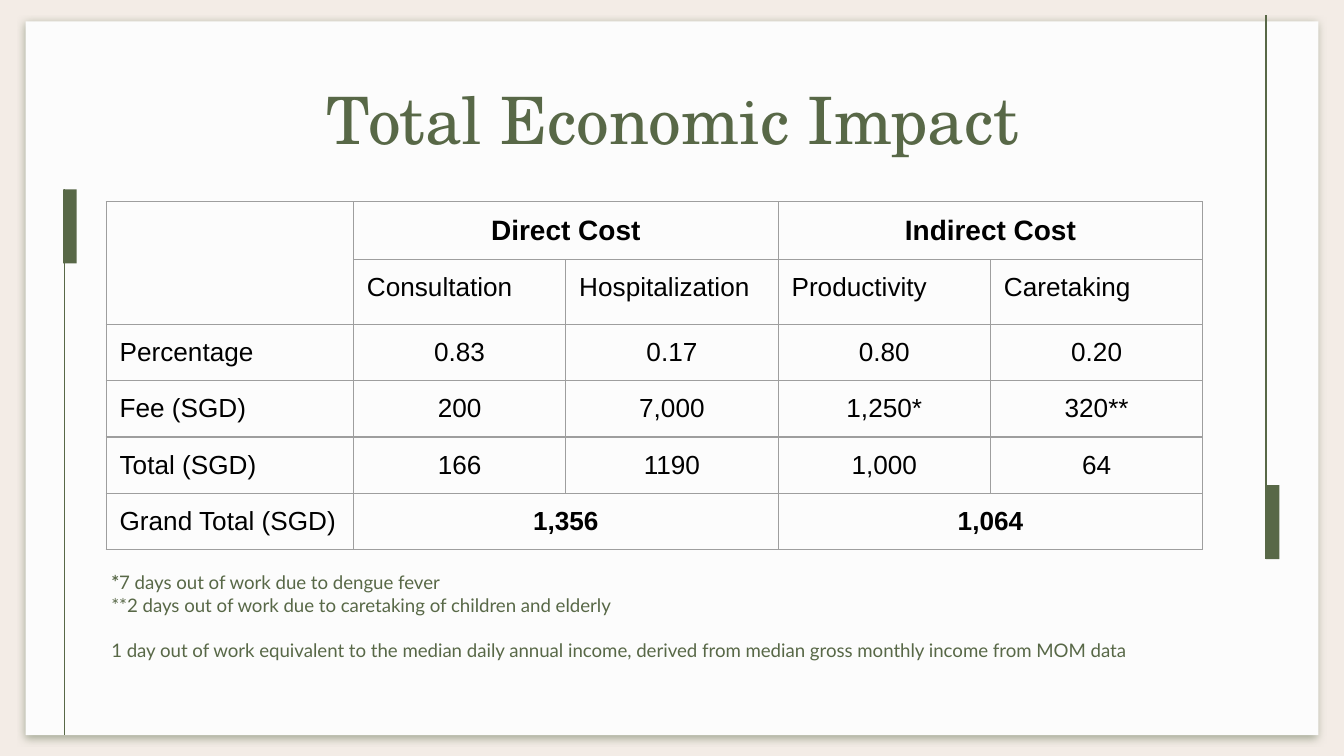
from dataclasses import dataclass

from lxml.etree import SubElement
from pptx import Presentation
from pptx.dml.color import RGBColor
from pptx.enum.shapes import MSO_CONNECTOR, MSO_SHAPE
from pptx.enum.text import MSO_ANCHOR, MSO_AUTO_SIZE, PP_ALIGN
from pptx.oxml import parse_xml
from pptx.oxml.ns import nsdecls, qn
from pptx.util import Inches, Pt


@dataclass(frozen=True)
class Theme:
    back: str = "F3ECE6"
    paper: str = "FCFCFC"
    green: str = "586847"
    ink: str = "000000"
    grid: str = "9E9E9E"
    serif: str = "TeX Gyre Schola"
    sans: str = "Arial"
    small: str = "Lato"
    title: int = 35
    head: int = 15
    body: int = 14
    note: int = 10
    rule: float = 0.75


@dataclass(frozen=True)
class Accent:
    left: float
    top: float
    axis: float
    start: float
    end: float


THEME = Theme()
PAD = Inches(0.1)
ACCENTS = (Accent(0.47, 1.41, 0.48, 1.41, 5.47), Accent(9.42, 3.61, 9.42, 4.16, 0.11))
COLS = (1.84, 1.58, 1.58, 1.58, 1.58)
ROWS = (0.43, 0.48, 0.42, 0.42, 0.42, 0.42)
CELLS = (
    ("", "Direct Cost", "", "Indirect Cost", ""),
    ("", "Consultation", "Hospitalization", "Productivity", "Caretaking"),
    ("Percentage", "0.83", "0.17", "0.80", "0.20"),
    ("Fee (SGD)", "200", "7,000", "1,250*", "320**"),
    ("Total (SGD)", "166", "1190", "1,000", "64"),
    ("Grand Total (SGD)", "1,356", "", "1,064", ""),
)
MERGES = ((0, 0, 1, 0), (0, 1, 0, 2), (0, 3, 0, 4), (5, 1, 5, 2), (5, 3, 5, 4))


def write(para, text: str, *, size: int, font: str, color: str,
          bold: bool = False, align=PP_ALIGN.LEFT, before: int = 0) -> None:
    para.alignment = align
    if before:
        para.space_before = Pt(before)
    run = para.add_run()
    run.text = text
    run.font.size = Pt(size)
    run.font.name = font
    run.font.bold = bold
    run.font.color.rgb = RGBColor.from_string(color)


def inset(box) -> None:
    box.margin_left = box.margin_right = PAD
    box.margin_top = box.margin_bottom = PAD


def place(shape, left: float, top: float, width: float, height: float) -> None:
    shape.left, shape.top = Inches(left), Inches(top)
    shape.width, shape.height = Inches(width), Inches(height)


def set_frame(frame) -> None:
    inset(frame)
    frame.word_wrap = True
    frame.auto_size = MSO_AUTO_SIZE.NONE
    frame.vertical_anchor = MSO_ANCHOR.TOP


def add_rect(slide, left: float, top: float, width: float, height: float, color: str):
    rect = slide.shapes.add_shape(
        MSO_SHAPE.RECTANGLE, Inches(left), Inches(top), Inches(width), Inches(height))
    rect.fill.solid()
    rect.fill.fore_color.rgb = RGBColor.from_string(color)
    rect.line.fill.background()
    rect.shadow.inherit = False
    return rect


def add_paper(slide) -> None:
    paper = add_rect(slide, 0.19, 0.16, 9.62, 5.31, THEME.paper)
    effects = paper._element.spPr.find(qn("a:effectLst"))
    effects.append(parse_xml(
        f'<a:outerShdw {nsdecls("a")} blurRad="{Pt(4.5)}" dist="{Pt(1.5)}" dir="5400000"'
        f' algn="bl" rotWithShape="0"><a:srgbClr val="{THEME.green}">'
        '<a:alpha val="50000"/></a:srgbClr></a:outerShdw>'))


def add_accent(slide, accent: Accent) -> None:
    add_rect(slide, accent.left, accent.top, 0.1, 0.55, THEME.green)
    axis = Inches(accent.axis)
    line = slide.shapes.add_connector(
        MSO_CONNECTOR.STRAIGHT, axis, Inches(accent.start), axis, Inches(accent.end))
    line.line.color.rgb = RGBColor.from_string(THEME.green)
    line.line.width = Pt(THEME.rule)
    SubElement(line._element.spPr, qn("a:effectLst"))


def add_title(slide) -> None:
    title = slide.shapes.title
    slide.shapes._spTree.append(title._element)
    place(title, 0.79, 0.49, 8.43, 0.63)
    set_frame(title.text_frame)
    write(title.text_frame.paragraphs[0], "Total Economic Impact", size=THEME.title,
          font=THEME.serif, color=THEME.green, align=PP_ALIGN.CENTER)


def set_cell(cell, text: str, row: int, col: int) -> None:
    props = cell._tc.get_or_add_tcPr()
    for side in ("lnL", "lnR", "lnT", "lnB"):
        props.append(parse_xml(
            f'<a:{side} {nsdecls("a")} w="{Pt(THEME.rule)}"><a:solidFill>'
            f'<a:srgbClr val="{THEME.grid}"/></a:solidFill></a:{side}>'))
    cell.fill.background()
    if not text:
        return
    inset(cell)
    label = col == 0 or row == 1
    write(cell.text_frame.paragraphs[0], text,
          size=THEME.head if row == 0 else THEME.body, font=THEME.sans, color=THEME.ink,
          bold=not label and row in (0, len(ROWS) - 1),
          align=PP_ALIGN.LEFT if label else PP_ALIGN.CENTER)


def add_costs(slide) -> None:
    table = slide.shapes.add_table(
        len(ROWS), len(COLS), Inches(0.79), Inches(1.5),
        Inches(sum(COLS)), Inches(sum(ROWS))).table
    table.first_row = table.horz_banding = False
    for col, width in zip(table.columns, COLS):
        col.width = Inches(width)
    for row, height in zip(table.rows, ROWS):
        row.height = Inches(height)
    for top, left, low, right in MERGES:
        table.cell(top, left).merge(table.cell(low, right))
    for row, texts in enumerate(CELLS):
        for col, text in enumerate(texts):
            set_cell(table.cell(row, col), text, row, col)


def add_notes(slide) -> None:
    frame = slide.shapes.add_textbox(
        Inches(0.73), Inches(4.15), Inches(8.23), Inches(0.92)).text_frame
    set_frame(frame)
    style = dict(size=THEME.note, font=THEME.small, color=THEME.green)
    first = frame.paragraphs[0]
    write(first, "*", bold=True, **style)
    write(first, "7 days out of work due to dengue fever", **style)
    write(frame.add_paragraph(),
          "**2 days out of work due to caretaking of children and elderly", **style)
    write(frame.add_paragraph(),
          "1 day out of work equivalent to the median daily annual income, "
          "derived from median gross monthly income from MOM data", before=12, **style)


def main() -> None:
    deck = Presentation()
    deck.slide_width, deck.slide_height = Inches(10), Inches(10 * 9 / 16)
    slide = deck.slides.add_slide(deck.slide_layouts[5])
    slide.background.fill.solid()
    slide.background.fill.fore_color.rgb = RGBColor.from_string(THEME.back)
    add_paper(slide)
    for accent in ACCENTS:
        add_accent(slide, accent)
    add_title(slide)
    add_costs(slide)
    add_notes(slide)
    deck.save("out.pptx")


if __name__ == "__main__":
    main()
